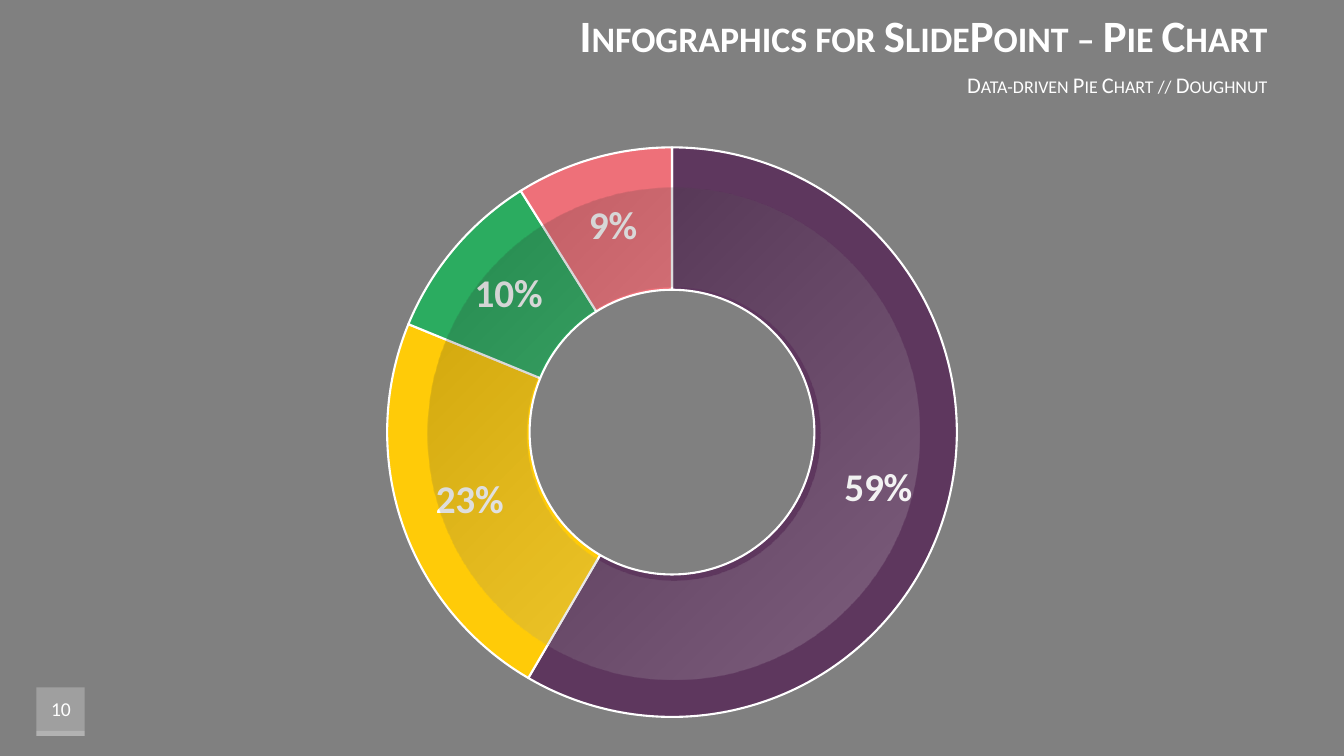
from lxml import etree
from pptx import Presentation
from pptx.chart.data import CategoryChartData
from pptx.dml.color import RGBColor
from pptx.enum.chart import XL_CHART_TYPE as ChartType
from pptx.enum.shapes import MSO_SHAPE as Shape
from pptx.enum.text import MSO_ANCHOR as Anchor, MSO_AUTO_SIZE as AutoSize, PP_ALIGN as Align
from pptx.oxml import parse_xml
from pptx.oxml.ns import nsdecls, qn
from pptx.util import Inches, Pt

COLORS = {"background": "808080", "white": "FFFFFF", "gray": "757575", "black": "000000"}
FONT = "Calibri"
TITLE = "Infographics for SlidePoint – Pie Chart"
SUBTITLE = "Data-driven Pie Chart // Doughnut"
PAGE = "10"
SLICES = [("1", 59, "5E375E"), ("2", 23, "FFCB08"), ("3", 10, "2BAC60"), ("4", 9, "EE7079")]
BADGE = [((0.36, 6.82, 0.48, 0.48), 25), ((0.36, 7.25, 0.48, 0.05), 20)]
SHEEN_BOX = (4.24, 1.86, 4.88, 4.88)
SHEEN_STOPS = [(0, "white"), (57, "gray"), (100, "black")]
SHEEN_ALPHA = 20
CHART_BOX = (2.22, 1.32, 8.89, 5.93)
RING_BOX = (3.84, 1.46, 5.65, 5.65)


def rgb(name):
    return RGBColor.from_string(COLORS.get(name, name))


def inches(box):
    return [Inches(length) for length in box]


def style_font(font, **formats):
    for key, value in {"name": FONT, **formats}.items():
        setattr(font, key, value)
    font.color.rgb = rgb("white")


def write(holder, text, align, small_caps=False, **formats):
    frame = holder.text_frame
    for key, value in {"word_wrap": True, "auto_size": AutoSize.NONE,
                       "vertical_anchor": Anchor.MIDDLE}.items():
        setattr(frame, key, value)
    line = frame.paragraphs[0]
    line.alignment = align
    line.space_before = Pt(0)
    run = line.add_run()
    run.text = text
    style_font(run.font, **formats)
    if small_caps:
        run.font._element.set("cap", "small")


def place(holder, box):
    for side, length in zip(("left", "top", "width", "height"), inches(box)):
        setattr(holder, side, length)


def add_plain(slide, preset, box):
    shape = slide.shapes.add_shape(preset, *inches(box))
    shape.shadow.inherit = False
    shape.line.fill.background()
    return shape


def add_badge(slide):
    for box, alpha in BADGE:
        tile = add_plain(slide, Shape.RECTANGLE, box)
        tile.fill.solid()
        tile.fill.fore_color.rgb = rgb("white")
        color = tile._element.spPr.find(".//" + qn("a:srgbClr"))
        etree.SubElement(color, qn("a:alpha")).set("val", str(alpha * 1000))
    number = slide.shapes.add_textbox(*inches((0.29, 6.82, 0.63, 0.43)))
    write(number, PAGE, Align.CENTER, size=Pt(14))


def add_doughnut(slide):
    data = CategoryChartData()
    data.categories = [name for name, _, _ in SLICES]
    data.add_series("Series 1", [value for _, value, _ in SLICES])
    chart = slide.shapes.add_chart(ChartType.DOUGHNUT, *inches(CHART_BOX), data).chart
    chart.has_legend = False
    chart.has_title = False
    chart.font.name, chart.font.size = FONT, Pt(10)
    chart.font.color.rgb = rgb("black")

    plot = chart.plots[0]
    plot.vary_by_categories = True
    plot._element.find(qn("c:holeSize")).set("val", "25")
    for index, (_, _, color) in enumerate(SLICES):
        look = plot.series[0].points[index].format
        look.fill.solid()
        look.fill.fore_color.rgb = rgb(color)
        look.line.color.rgb = rgb("white")
        look.line.width = Pt(1.5)

    plot.has_data_labels = True
    labels = plot.data_labels
    for key, value in {"show_value": True, "show_percentage": False,
                       "number_format": '0"%"', "number_format_is_linked": False}.items():
        setattr(labels, key, value)
    style_font(labels.font, size=Pt(28), bold=True)

    left, top, width, height = CHART_BOX
    ring_left, ring_top, ring_width, ring_height = RING_BOX
    shares = {"x": (ring_left - left) / width, "y": (ring_top - top) / height,
              "w": ring_width / width, "h": ring_height / height}
    area = chart._chartSpace.chart.plotArea
    for old in area.findall(qn("c:layout")):
        area.remove(old)
    rules = '<c:layoutTarget val="inner"/><c:xMode val="edge"/><c:yMode val="edge"/>'
    rules += "".join(f'<c:{key} val="{share:.3f}"/>' for key, share in shares.items())
    area.insert(0, parse_xml(
        f'<c:layout {nsdecls("c")}><c:manualLayout>{rules}</c:manualLayout></c:layout>'))


def add_sheen(slide):
    sheen = add_plain(slide, Shape.DONUT, SHEEN_BOX)
    sheen.adjustments[0] = 0.4 / 2 + 0.002
    sheen.fill.background()
    stops = "".join(
        f'<a:gs pos="{position * 1000}"><a:srgbClr val="{COLORS[name]}">'
        f'<a:alpha val="{SHEEN_ALPHA * 1000}"/></a:srgbClr></a:gs>'
        for position, name in SHEEN_STOPS)
    gradient = parse_xml(
        f'<a:gradFill {nsdecls("a")} rotWithShape="1"><a:gsLst>{stops}</a:gsLst>'
        '<a:path path="circle"><a:fillToRect l="100000" t="100000"/></a:path></a:gradFill>')
    properties = sheen._element.spPr
    properties.replace(properties.find(qn("a:noFill")), gradient)


def main():
    deck = Presentation()
    deck.slide_width, deck.slide_height = Inches(13.33), Inches(7.5)
    slide = deck.slides.add_slide(deck.slide_layouts[0])
    slide.background.fill.solid()
    slide.background.fill.fore_color.rgb = rgb("background")

    title, subtitle = slide.shapes.title, slide.placeholders[1]
    place(title, (2.26, 0, 10.41, 0.68))
    write(title, TITLE, Align.RIGHT, small_caps=True, size=Pt(32), bold=True)
    place(subtitle, (2.26, 0.68, 10.41, 0.31))
    write(subtitle, SUBTITLE, Align.RIGHT, small_caps=True, size=Pt(16))
    add_badge(slide)
    add_doughnut(slide)
    add_sheen(slide)
    deck.save("out.pptx")


if __name__ == "__main__":
    main()
